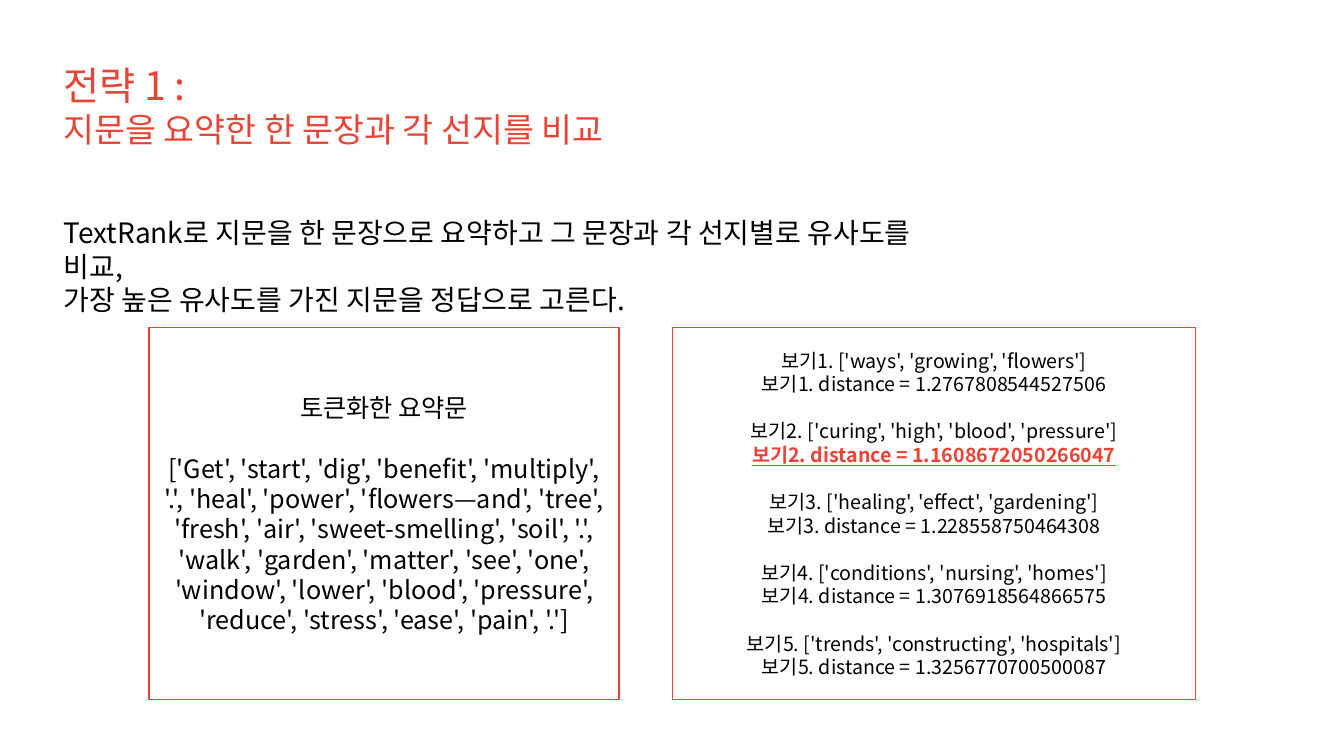
import pptx
import pptx.util
import pptx.dml.color
import pptx.enum.shapes
import pptx.enum.text
import pptx.oxml.ns
from lxml import etree

Inches, Pt = pptx.util.Inches, pptx.util.Pt
RGB = pptx.dml.color.RGBColor.from_string
Align, Anchor = pptx.enum.text.PP_ALIGN, pptx.enum.text.MSO_ANCHOR
Fit = pptx.enum.text.MSO_AUTO_SIZE
qn = pptx.oxml.ns.qn

theme = {
    "font": "Noto Sans CJK KR",
    "red": RGB("E94335"), "black": RGB("000000"), "white": RGB("FFFFFF"),
    "head": 28, "sub": 24, "lead": 20, "token": 18, "choice": 14,
}


def place(shape, left, top, width, height):
    spots = {"left": left, "top": top, "width": width, "height": height}
    for key, value in spots.items():
        setattr(shape, key, Inches(value))


def write(frame, lines, align):
    """Fill a frame with (text, size name, colour name, gap in points, font extras)."""
    frame.word_wrap = True
    for i, (text, size, color, gap, extra) in enumerate(lines):
        para = frame.paragraphs[0] if i == 0 else frame.add_paragraph()
        props = para._p.get_or_add_pPr()
        props.set("marL", "0")
        props.set("indent", "0")
        etree.SubElement(props, qn("a:buNone"))
        para.alignment = align
        para.space_before = Pt(gap)
        run = para.add_run()
        run.text = text
        style = {"size": Pt(theme[size]), "name": theme["font"], **extra}
        for key, value in style.items():
            setattr(run.font, key, value)
        run.font.color.rgb = theme[color]
        east = etree.SubElement(run._r.get_or_add_rPr(), qn("a:ea"))
        east.set("typeface", theme["font"])


deck = pptx.Presentation()
deck.slide_width, deck.slide_height = Inches(13.33), Inches(7.5)
slide = deck.slides.add_slide(deck.slide_layouts[1])

# Title and lead text
title, lead = slide.shapes.title, slide.placeholders[1]
heads = [
    ("전략 1 :", "head", "red", 0, {}),
    ("지문을 요약한 한 문장과 각 선지를 비교", "sub", "red", 0, {}),
]
leads = [
    ("TextRank로 지문을 한 문장으로 요약하고 그 문장과 각 선지별로 유사도를 비교,",
     "lead", "black", 0, {}),
    ("가장 높은 유사도를 가진 지문을 정답으로 고른다.", "lead", "black", 0, {}),
]
for shape, spot, lines in [
    (title, (0.53, 0.56, 5.62, 0.98), heads),
    (lead, (0.53, 2.09, 9, 0.77), leads),
]:
    place(shape, *spot)
    shape.text_frame.vertical_anchor = Anchor.TOP
    shape.text_frame.auto_size = Fit.SHAPE_TO_FIT_TEXT
    write(shape.text_frame, lines, Align.LEFT)

# Summary tokens and the distance of each choice
tokens = (
    "['Get', 'start', 'dig', 'benefit', 'multiply', '.', 'heal', 'power', "
    "'flowers—and', 'tree', 'fresh', 'air', 'sweet-smelling', 'soil', '.', "
    "'walk', 'garden', 'matter', 'see', 'one', 'window', 'lower', 'blood', "
    "'pressure', 'reduce', 'stress', 'ease', 'pain', '.']"
)
summary = [
    ("토큰화한 요약문", "token", "black", 0, {}),
    (tokens, "token", "black", 21.6, {}),
]
choices = [
    ("['ways', 'growing', 'flowers']", "1.2767808544527506"),
    ("['curing', 'high', 'blood', 'pressure']", "1.1608672050266047"),
    ("['healing', 'effect', 'gardening']", "1.228558750464308"),
    ("['conditions', 'nursing', 'homes']", "1.3076918564866575"),
    ("['trends', 'constructing', 'hospitals']", "1.3256770700500087"),
]
best = min(choices, key=lambda choice: float(choice[1]))
scores = []
for i, (words, score) in enumerate(choices, 1):
    won = (words, score) == best
    scores.append((f"보기{i}. {words}", "choice", "black", 16.9 if i > 1 else 0, {}))
    scores.append((f"보기{i}. distance = {score}", "choice", "red" if won else "black",
                   0, {"bold": won, "underline": won}))

for left, width, lines in [(1.48, 4.66, summary), (6.67, 5.19, scores)]:
    box = slide.shapes.add_shape(
        pptx.enum.shapes.MSO_SHAPE.RECTANGLE,
        Inches(left), Inches(3.25), Inches(width), Inches(3.69))
    box.shadow.inherit = False
    box.fill.solid()
    box.fill.fore_color.rgb = theme["white"]
    box.line.color.rgb = theme["red"]
    box.line.width = Pt(1)
    box.text_frame.vertical_anchor = Anchor.MIDDLE
    write(box.text_frame, lines, Align.CENTER)

deck.save("out.pptx")
